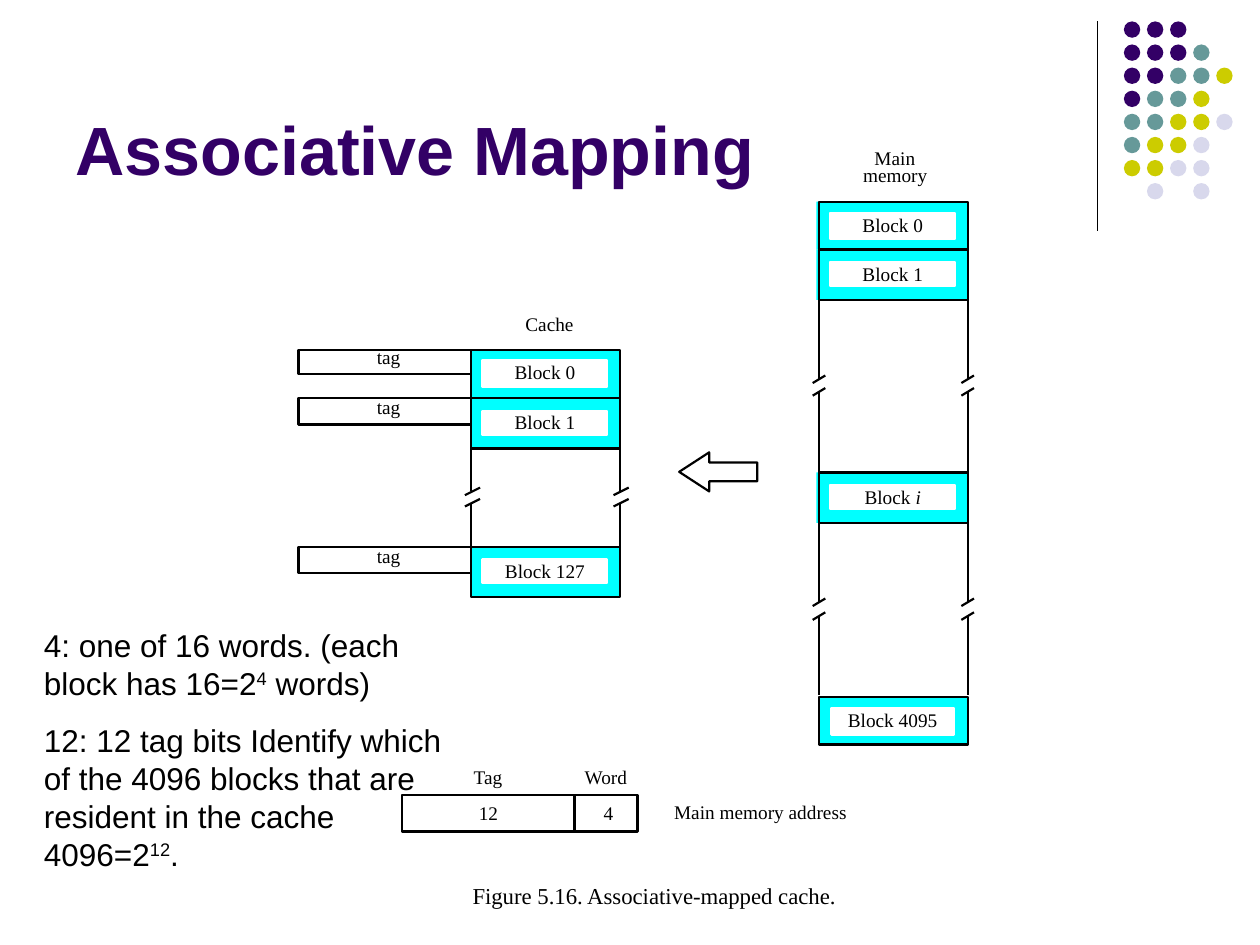
from dataclasses import dataclass

from lxml import etree
from pptx import Presentation
from pptx.dml.color import RGBColor
from pptx.enum.shapes import MSO_CONNECTOR as Connector, MSO_SHAPE as Shape
from pptx.enum.text import MSO_ANCHOR as Anchor, PP_ALIGN as Align
from pptx.oxml.ns import qn
from pptx.util import Inches, Pt

BLACK, WHITE, CYAN, PURPLE = "000000", "FFFFFF", "00FFFF", "330066"
DOT_COLOURS = {"P": PURPLE, "T": "669999", "Y": "CCCC00", "L": "D8D8EC"}
DOT_ROWS = ["PPP", "PPPT", "PPTTY", "PTTY", "TTYYL", "TYYL", "YYLL", ".L.L"]
DOT_LEFT, DOT_TOP, DOT_SIZE = 8.92, 0.17, 0.13
DOT_PITCH = 0.18 + 0.01 / 3
SERIF, SANS = "Times New Roman", "Arial"
LINE_WIDTH = 1.25
BLOCK_WIDTH = 1.18
MAIN_LEFT, CACHE_LEFT = 6.5, 3.74
TAG_LEFT, TAG_WIDTH = 2.37, 1.37
LABEL_SLACK = 0.06


@dataclass
class Block:
    name: str
    left: float
    top: float
    height: float
    fill_left: float
    inset_left: float
    inset_top: float
    inset_height: float
    inset_width: float = 0.99
    italic: str = ""


@dataclass
class BrokenSpan:
    """Two vertical sides, each interrupted by a pair of slanted ticks."""
    left: float
    top: float
    bottom: float
    upper_tick: float
    lower_tick: float
    reach_right: float = 0.05


@dataclass
class Label:
    text: str
    left: float
    top: float
    width: float
    size: float = 11


BLOCKS = [
    Block("Block 0", MAIN_LEFT, 1.6, 0.38, 6.48, 6.59, 1.69, 0.21),
    Block("Block 1", MAIN_LEFT, 1.98, 0.4, 6.48, 6.59, 2.08, 0.19),
    Block("Block ", MAIN_LEFT, 3.75, 0.4, 6.48, 6.59, 3.85, 0.19, italic="i"),
    Block("Block 4095", MAIN_LEFT, 5.53, 0.38, 6.5, 6.6, 5.62, 0.21, 0.97),
    Block("Block 0", CACHE_LEFT, 2.78, 0.38, 3.74, 3.83, 2.86, 0.21),
    Block("Block 1", CACHE_LEFT, 3.16, 0.4, 3.74, 3.83, 3.26, 0.19),
    Block("Block 127", CACHE_LEFT, 4.34, 0.4, 3.74, 3.83, 4.44, 0.19),
]
SPANS = [
    BrokenSpan(MAIN_LEFT, 2.38, 3.75, 2.98, 3.08),
    BrokenSpan(MAIN_LEFT, 4.15, 5.52, 4.75, 4.86),
    BrokenSpan(CACHE_LEFT, 3.56, 4.34, 3.87, 3.96, reach_right=0.07),
]
TAGS = [(2.78, 0.19), (3.16, 0.21), (4.34, 0.21)]
LABELS = [
    Label("tag", 2.99, 2.74, 0.19),
    Label("tag", 2.99, 3.14, 0.19),
    Label("tag", 2.99, 4.32, 0.19),
    Label("Cache", 4.17, 2.48, 0.38),
    Label("Main", 6.94, 1.16, 0.32),
    Label("memory", 6.85, 1.3, 0.51),
    Label("Tag", 3.76, 6.07, 0.25),
    Label("Word", 4.64, 6.07, 0.36),
    Label("12", 3.8, 6.36, 0.15),
    Label("4", 4.79, 6.36, 0.08),
    Label("Main memory address", 5.35, 6.35, 1.37),
    Label("Figure 5.16. Associative-mapped cache.", 3.75, 7, 2.89, 13),
]
NOTES = [
    ("4: one of 16 words. (each block has 16=2", "4", " words)"),
    ("12: 12 tag bits Identify which of the 4096 blocks that are resident in the cache 4096=2",
     "12", "."),
]


def colour(value: str) -> RGBColor:
    return RGBColor.from_string(value)


def set_font(font, name: str, size: float, shade: str = BLACK, bold: bool = False) -> None:
    font.name, font.size, font.bold = name, Pt(size), bold
    font.color.rgb = colour(shade)


def add_preset(slide, kind, left: float, top: float, width: float, height: float,
               fill: str | None = None, line: str | None = None):
    shape = slide.shapes.add_shape(kind, Inches(left), Inches(top), Inches(width), Inches(height))
    shape.shadow.inherit = False
    if fill:
        shape.fill.solid()
        shape.fill.fore_color.rgb = colour(fill)
    else:
        shape.fill.background()
    if line:
        shape.line.color.rgb = colour(line)
        shape.line.width = Pt(LINE_WIDTH)
    else:
        shape.line.fill.background()
    return shape


def add_line(slide, x1: float, y1: float, x2: float, y2: float, width: float = LINE_WIDTH) -> None:
    connector = slide.shapes.add_connector(
        Connector.STRAIGHT, Inches(x1), Inches(y1), Inches(x2), Inches(y2))
    connector.line.color.rgb = colour(BLACK)
    connector.line.width = Pt(width)
    etree.SubElement(connector.element.spPr, qn("a:effectLst"))


def clear_margins(frame) -> None:
    frame.margin_left = frame.margin_right = frame.margin_top = frame.margin_bottom = 0


def add_text_frame(slide, left: float, top: float, width: float, height: float):
    box = slide.shapes.add_textbox(Inches(left), Inches(top), Inches(width), Inches(height))
    box.text_frame.word_wrap = True
    return box.text_frame


def add_label(slide, label: Label) -> None:
    """Write one line of text in a box with a little slack on the right."""
    frame = add_text_frame(slide, label.left, label.top, label.width + LABEL_SLACK,
                           label.size / 60)
    clear_margins(frame)
    paragraph = frame.paragraphs[0]
    paragraph.text = label.text
    set_font(paragraph.font, SERIF, label.size)


def add_block(slide, block: Block) -> None:
    """Draw the cyan fill, the white name plate and the black frame of a block."""
    fill_width = block.left + BLOCK_WIDTH - block.fill_left
    add_preset(slide, Shape.RECTANGLE, block.fill_left, block.top, fill_width, block.height,
               fill=CYAN)
    plate = add_preset(slide, Shape.RECTANGLE, block.inset_left, block.inset_top,
                       block.inset_width, block.inset_height, fill=WHITE, line=WHITE)
    frame = plate.text_frame
    clear_margins(frame)
    frame.vertical_anchor = Anchor.TOP
    paragraph = frame.paragraphs[0]
    paragraph.alignment = Align.CENTER
    paragraph.add_run().text = block.name
    if block.italic:
        run = paragraph.add_run()
        run.text = block.italic
        run.font.italic = True
    set_font(paragraph.font, SERIF, 11)
    add_preset(slide, Shape.RECTANGLE, block.left, block.top, BLOCK_WIDTH, block.height,
               line=BLACK)


def add_broken_span(slide, span: BrokenSpan) -> None:
    rise = 0.06
    for x in (span.left, span.left + BLOCK_WIDTH):
        add_line(slide, x, span.top, x, span.upper_tick + rise / 2)
        add_line(slide, x, span.lower_tick + rise / 2, x, span.bottom)
        for tick in (span.upper_tick, span.lower_tick):
            add_line(slide, x + span.reach_right, tick, x - 0.05, tick + rise)


def add_dots(slide) -> None:
    for row, letters in enumerate(DOT_ROWS):
        for column, letter in enumerate(letters):
            if letter in DOT_COLOURS:
                add_preset(slide, Shape.OVAL, DOT_LEFT + column * DOT_PITCH,
                           DOT_TOP + row * DOT_PITCH, DOT_SIZE, DOT_SIZE,
                           fill=DOT_COLOURS[letter])


def add_title(slide) -> None:
    frame = add_text_frame(slide, 0.5, 0.13, 8.25, 1.42)
    frame.vertical_anchor = Anchor.BOTTOM
    paragraph = frame.paragraphs[0]
    paragraph.text = "Associative Mapping"
    set_font(paragraph.font, SANS, 39, PURPLE, bold=True)


def add_notes(slide) -> None:
    """Write the explanation of the address fields, with raised exponents."""
    frame = add_text_frame(slide, 0.25, 4.92, 3.42, 2.06)
    for index, (base, exponent, ending) in enumerate(NOTES):
        paragraph = frame.add_paragraph() if index else frame.paragraphs[0]
        paragraph.space_before = Pt(11.2)
        set_font(paragraph.font, SANS, 18)
        for text in (base, exponent, ending):
            run = paragraph.add_run()
            run.text = text
            if text is exponent:
                run.font._element.set("baseline", "30000")


def main() -> None:
    presentation = Presentation()
    presentation.slide_width, presentation.slide_height = Inches(10), Inches(7.5)
    slide = presentation.slides.add_slide(presentation.slide_layouts[6])
    add_line(slide, 8.71, 0.17, 8.71, 1.83, width=0.75)
    add_dots(slide)
    add_title(slide)
    add_preset(slide, Shape.RECTANGLE, 3.19, 6.31, 1.87, 0.29, line=BLACK)
    add_line(slide, 4.56, 6.31, 4.56, 6.6)
    for top, height in TAGS:
        add_preset(slide, Shape.RECTANGLE, TAG_LEFT, top, TAG_WIDTH, height, line=BLACK)
    for block in BLOCKS:
        add_block(slide, block)
    for span in SPANS:
        add_broken_span(slide, span)
    arrow = add_preset(slide, Shape.LEFT_ARROW, 5.39, 3.59, 0.62, 0.31, line=BLACK)
    arrow.adjustments[0], arrow.adjustments[1] = 0.48, 0.77
    for label in LABELS:
        add_label(slide, label)
    add_notes(slide)
    presentation.save("out.pptx")


if __name__ == "__main__":
    main()
